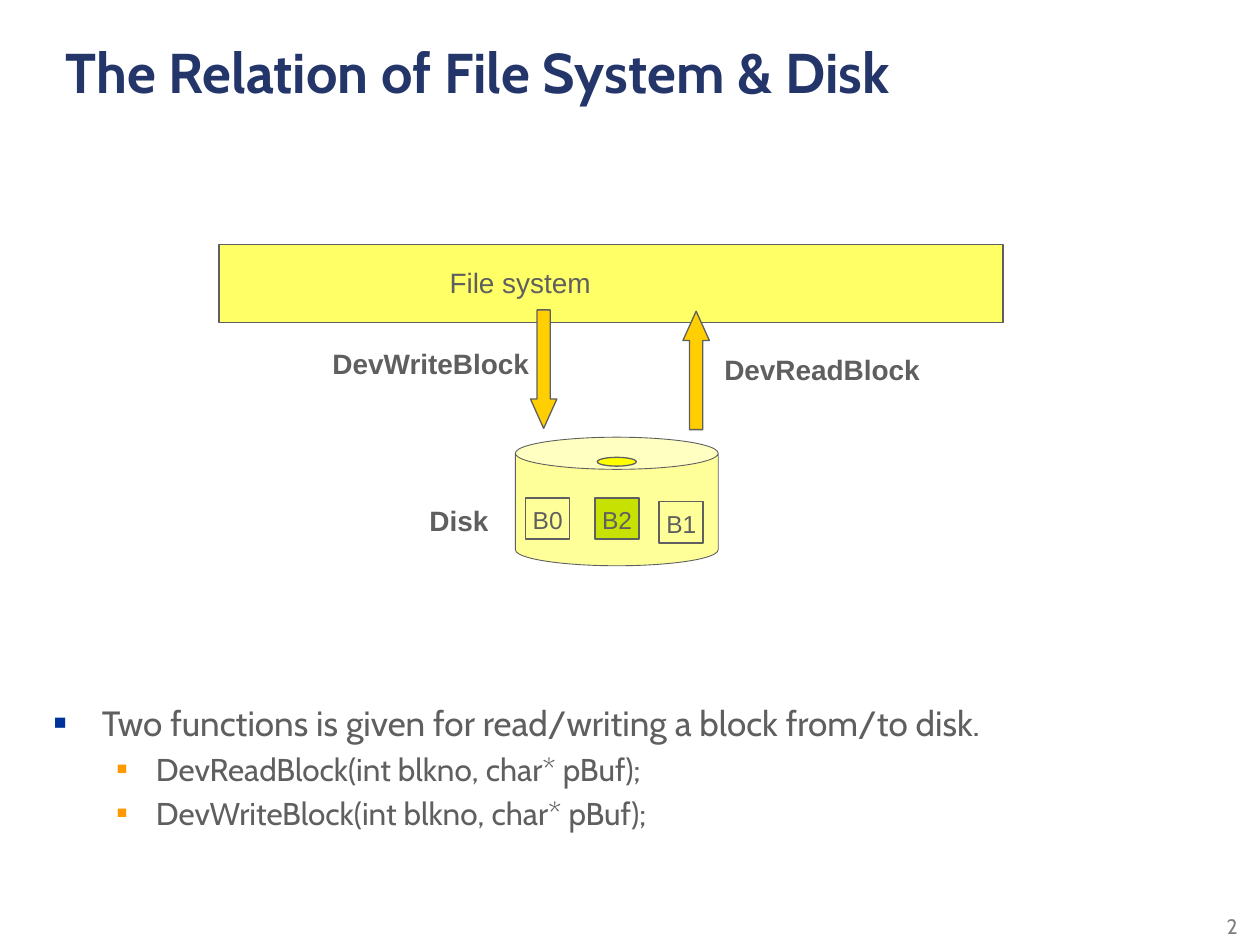
import lxml.etree
import pptx
import pptx.dml.color
import pptx.enum.shapes
import pptx.enum.text
import pptx.oxml.ns
import pptx.util

Inches = pptx.util.Inches
SHAPE = pptx.enum.shapes.MSO_SHAPE
ANCHOR = pptx.enum.text.MSO_ANCHOR
ALIGN = pptx.enum.text.PP_ALIGN
COLORS = {
    "title": "24356A", "text": "5F5F5F", "number": "808080",
    "disk": "FFFF99", "hole": "FFFF00", "used": "C7E202",
    "system": "FFFF66", "arrow": "FFCF01",
    "bullet": "003399", "subbullet": "FF9900",
}


def rgb(name):
    """Return the named colour."""
    return pptx.dml.color.RGBColor.from_string(COLORS[name])


class SlideBuilder:
    """Hold the style and the current slide, and add its elements."""

    label_font = "Arial"
    body_font = "Cabin"

    def __init__(self, deck):
        """Start a title-only page."""
        self.page = deck.slides.add_slide(deck.slide_layouts[5])

    def add_span(self, para, text, color="text", **formats):
        """Add a formatted run to a paragraph."""
        span = para.add_run()
        span.text = text
        values = {"name": self.label_font, "bold": False, **formats}
        values["size"] = pptx.util.Pt(values["size"])
        for key, value in values.items():
            setattr(span.font, key, value)
        span.font.color.rgb = rgb(color)

    def title(self, text, left, top, width, height):
        """Place and fill the title placeholder."""
        box = self.page.shapes.title
        place = {"left": left, "top": top, "width": width, "height": height}
        for key, value in place.items():
            setattr(box, key, Inches(value))
        box.text_frame.vertical_anchor = ANCHOR.TOP
        para = box.text_frame.paragraphs[0]
        para.alignment = ALIGN.LEFT
        self.add_span(para, text, "title", name=self.body_font, size=32, bold=True)

    def text_box(self, left, top, width, height, parent=None, wrap=False, anchor=ANCHOR.TOP):
        """Add an empty text box and return its frame."""
        box = (parent or self.page).shapes.add_textbox(*map(Inches, (left, top, width, height)))
        box.text_frame.word_wrap = wrap
        box.text_frame.vertical_anchor = anchor
        return box.text_frame

    def label(self, text, left, top, width, height=0.37, parent=None, size=16, bold=False):
        """Add a one-line diagram label."""
        frame = self.text_box(left, top, width, height, parent)
        frame.auto_size = pptx.enum.text.MSO_AUTO_SIZE.SHAPE_TO_FIT_TEXT
        self.add_span(frame.paragraphs[0], text, size=size, bold=bold)

    def shape(self, kind, left, top, width, height, fill=None, line=0.75, adjust=(), parent=None):
        """Add an outlined preset shape."""
        item = (parent or self.page).shapes.add_shape(kind, *map(Inches, (left, top, width, height)))
        item.shadow.inherit = False
        if fill:
            item.fill.solid()
            item.fill.fore_color.rgb = rgb(fill)
        else:
            item.fill.background()
        item.line.color.rgb = rgb("text")
        item.line.width = pptx.util.Pt(line)
        for index, value in enumerate(adjust):
            item.adjustments[index] = value

    def block(self, text, left, top, fill=None):
        """Add a grouped disk block with its label."""
        group = self.page.shapes.add_group_shape()
        self.shape(SHAPE.RECTANGLE, left, top, 0.35, 0.33, fill, 1, parent=group)
        self.label(text, left - 0.04, top + 0.01, 0.44, 0.33, group, 14)

    def bullets(self, rows, left, top, width, height):
        """Add a bulleted list of (level, text) rows."""
        styles = [(0.38, 0.38, "bullet", 60, 20), (0.81, 0.31, "subbullet", 55, 18)]
        frame = self.text_box(left, top, width, height, wrap=True)
        for index, (level, text) in enumerate(rows):
            margin, hanging, color, percent, size = styles[level]
            para = frame.add_paragraph() if index else frame.paragraphs[0]
            para.level = level
            if index:
                para.space_before = pptx.util.Pt(size * 0.2)
            properties = para._p.get_or_add_pPr()
            properties.set("marL", str(Inches(margin)))
            properties.set("indent", str(-Inches(hanging)))
            marks = [
                ("a:buClr", {}), ("a:buSzPct", {"val": str(percent * 1000)}),
                ("a:buFont", {"typeface": self.label_font}), ("a:buChar", {"char": "■"}),
            ]
            for tag, attributes in marks:
                mark = lxml.etree.SubElement(properties, pptx.oxml.ns.qn(tag), attributes)
                if tag == "a:buClr":
                    lxml.etree.SubElement(mark, pptx.oxml.ns.qn("a:srgbClr"), {"val": COLORS[color]})
            self.add_span(para, text, name=self.body_font, size=size)

    def number(self, text, left, top, width, height):
        """Add the page number."""
        para = self.text_box(left, top, width, height, wrap=True, anchor=ANCHOR.BOTTOM).paragraphs[0]
        para.alignment = ALIGN.RIGHT
        self.add_span(para, text, "number", name=self.body_font, size=12)


def main():
    """Build and save the deck."""
    deck = pptx.Presentation()
    deck.slide_width, deck.slide_height = Inches(10), Inches(7.5)
    builder = SlideBuilder(deck)
    builder.number("2", 8.92, 7.25, 1, 0.25)
    builder.title("The Relation of File System & Disk", 0.42, 0.25, 9.03, 1.22)

    builder.shape(SHAPE.CAN, 4.09, 3.47, 1.61, 1.02, "disk", 0.5, [0.25])
    builder.label("Disk", 3.31, 3.95, 0.67, bold=True)
    builder.shape(SHAPE.OVAL, 4.74, 3.63, 0.31, 0.07, "hole")
    builder.block("B2", 4.72, 3.95, "used")
    builder.block("B0", 4.17, 3.95)
    builder.block("B1", 5.23, 3.98)

    builder.shape(SHAPE.RECTANGLE, 1.74, 1.94, 6.22, 0.62, "system", 1)
    builder.label("File system", 3.47, 2.06, 1.34)
    for kind, left, top in [(SHAPE.DOWN_ARROW, 4.21, 2.46), (SHAPE.UP_ARROW, 5.42, 2.47)]:
        builder.shape(kind, left, top, 0.21, 0.94, "arrow", adjust=[0.5, 1.11])

    builder.bullets([
        (0, "Two functions is given for read/writing a block from/to disk."),
        (1, "DevReadBlock(int blkno, char* pBuf);"),
        (1, "DevWriteBlock(int blkno, char* pBuf);"),
    ], 0.33, 5.52, 9.04, 1.48)
    builder.label("DevWriteBlock", 2.54, 2.7, 1.78, bold=True)
    builder.label("DevReadBlock", 5.65, 2.75, 1.77, bold=True)
    deck.save("out.pptx")


if __name__ == "__main__":
    main()
